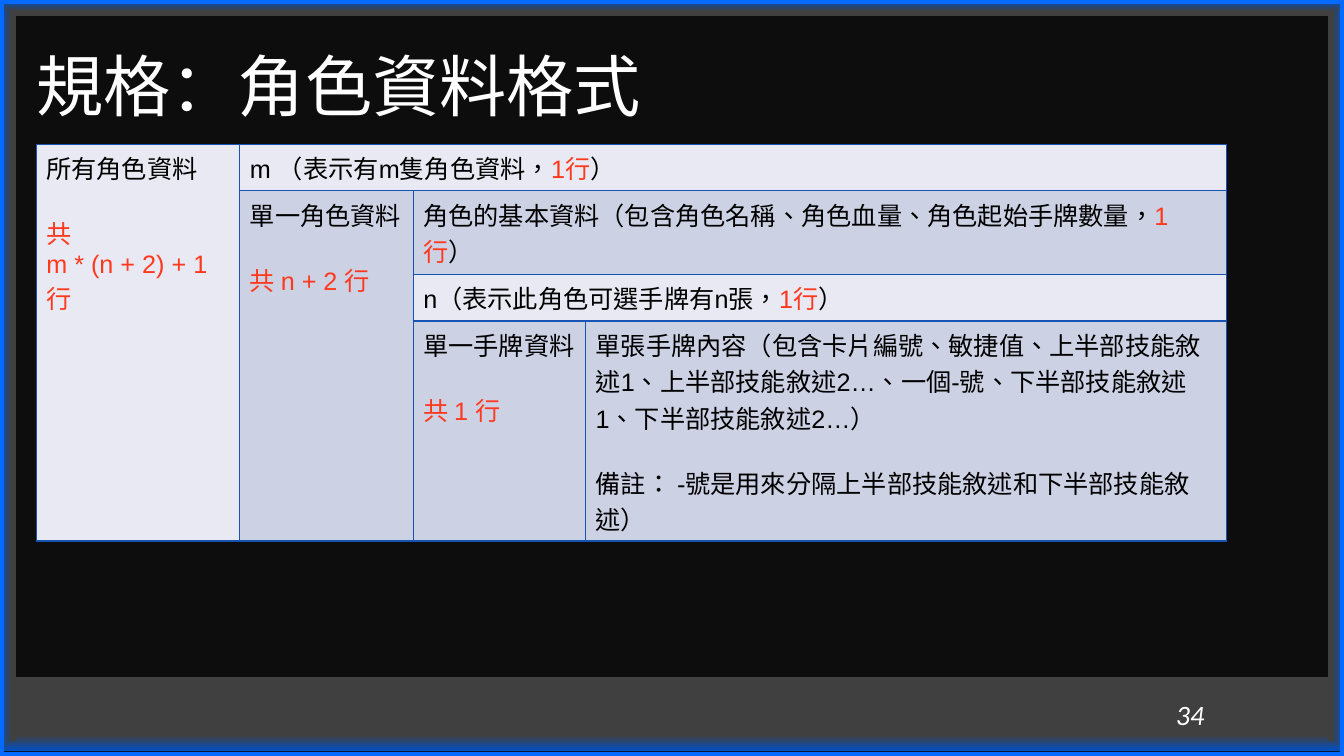
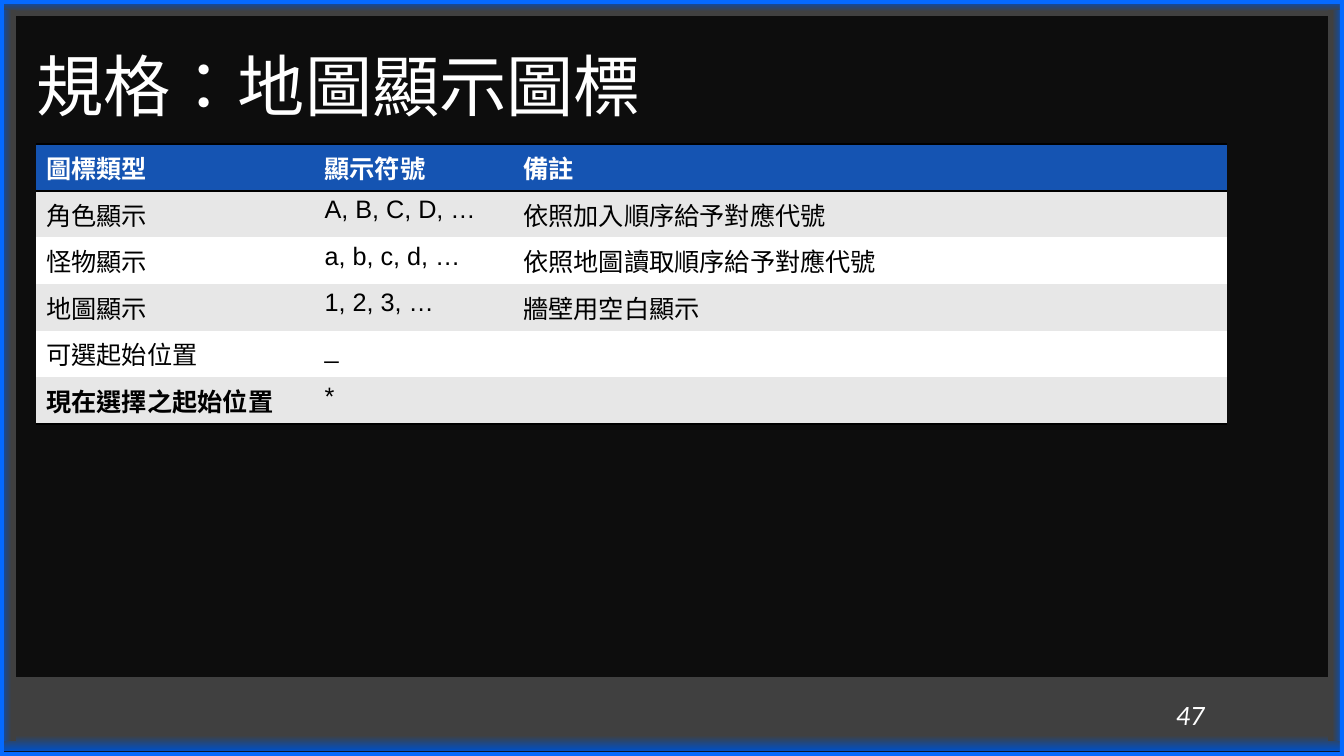
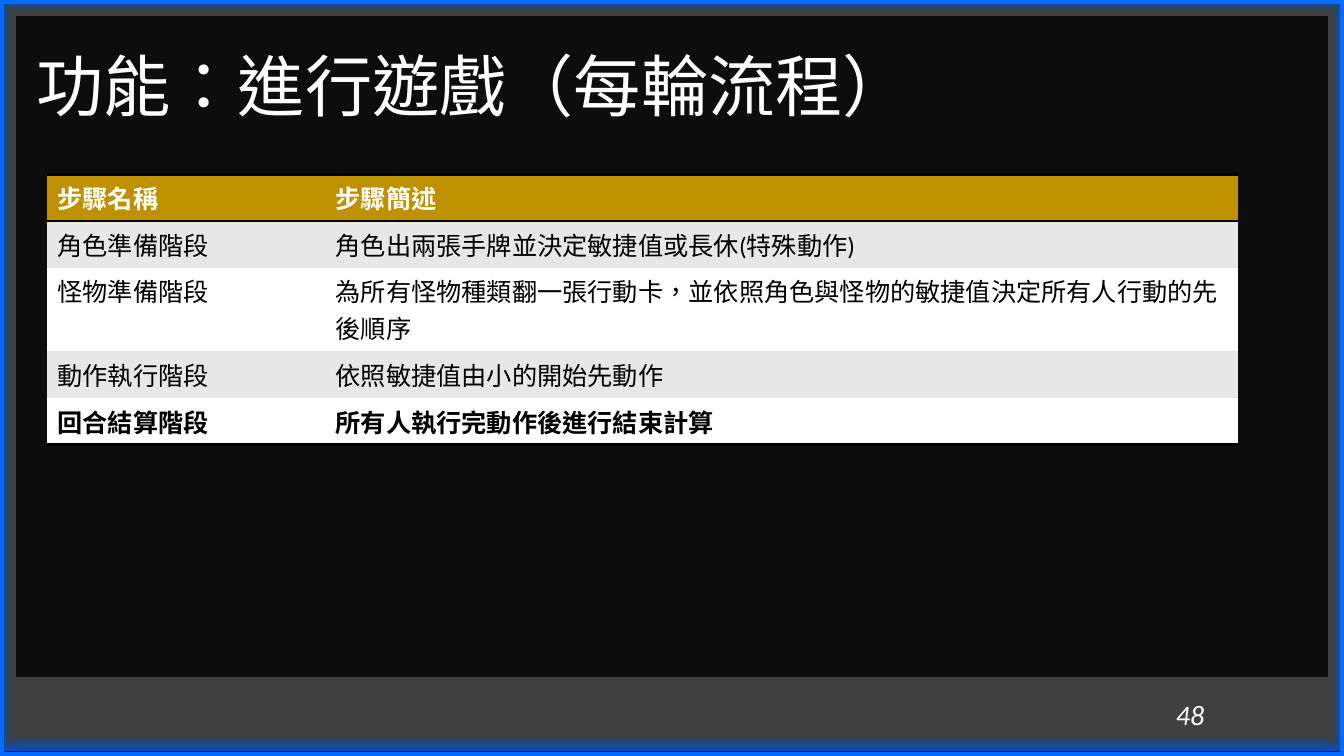
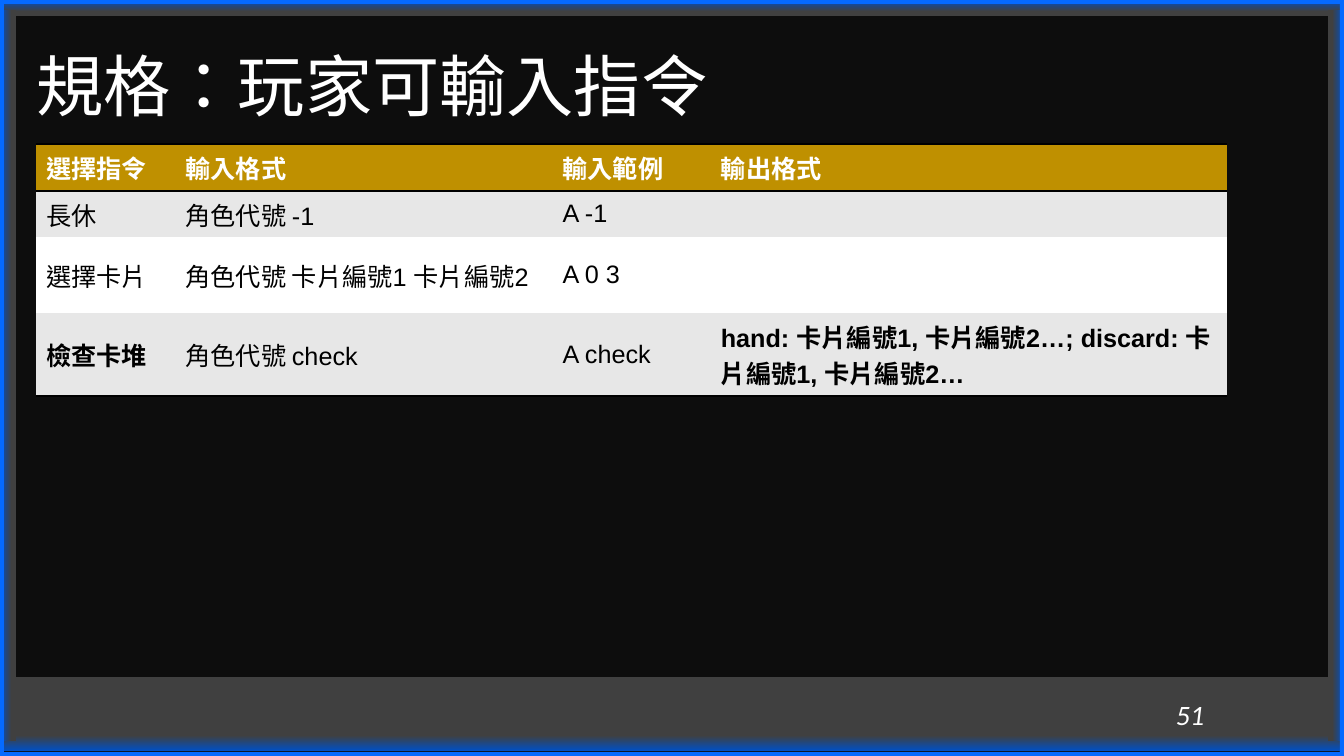
from lxml.etree import SubElement
from pptx import Presentation
from pptx.dml.color import RGBColor
from pptx.enum.lang import MSO_LANGUAGE_ID
from pptx.enum.shapes import MSO_SHAPE
from pptx.enum.text import MSO_ANCHOR, PP_ALIGN
from pptx.oxml.ns import qn
from pptx.util import Inches, Pt

COLORS = {
    "backdrop": "0D0D0D", "glow": "004FC3", "band": "404040", "frame": "056AFF",
    "white": "FFFFFF", "black": "000000", "red": "FF391E", "blue": "1554B2",
    "gold": "BF9000", "gray": "E7E7E7", "pale": "E8E9F2", "lilac": "CCD1E4",
}
CJK_FONT = "Noto Sans CJK SC"
PLAIN_TABLE = "{2D5ABB26-0587-4C30-8999-92F81FD0307C}"
TAIWAN = MSO_LANGUAGE_ID.TRADITIONAL_CHINESE
MAINLAND = MSO_LANGUAGE_ID.SIMPLIFIED_CHINESE
LINE = 6.17
LEFT, TOP = 2.7, 19.07


def rgb(name):
    """Return the named colour."""
    return RGBColor.from_string(COLORS[name])


class Deck:
    """Holds the style and the current slide; lengths are percent of the slide."""

    def __init__(self):
        self.show = Presentation()
        self.show.slide_width, self.show.slide_height = Inches(13.33), Inches(7.5)

    def across(self, percent):
        """Turn percent of the slide width into a length."""
        return round(self.show.slide_width * percent / 100)

    def down(self, percent):
        """Turn percent of the slide height into a length."""
        return round(self.show.slide_height * percent / 100)

    def area(self, left, top, width, height):
        """Turn percents into a position and size."""
        return self.across(left), self.down(top), self.across(width), self.down(height)

    def start(self, heading, number, language=TAIWAN):
        """Add a slide with its bands, frame, number and heading."""
        self.slide = self.show.slides.add_slide(self.show.slide_layouts[6])
        self.slide.background.fill.solid()
        self.slide.background.fill.fore_color.rgb = rgb("backdrop")
        footer = self.band((0, 89.6, 100, 9.73), 270, 0.21)
        self.band((0, 0, 100, 2.13), 90)
        self.band((0, 1.33, 1.2, 96.67), 0)
        self.band((98.8, 1.33, 1.2, 96.67), 180)
        self.frame()
        self.number(footer, number)
        self.heading(heading, language)

    def band(self, place, angle, reach=0.72):
        """Draw an edge band that glows towards the outside."""
        band = self.slide.shapes.add_shape(MSO_SHAPE.RECTANGLE, *self.area(*place))
        band.shadow.inherit = False
        band.line.fill.background()
        band.fill.gradient()
        band.fill.gradient_angle = -angle % 360
        for stop, position, color in zip(band.fill.gradient_stops, (0, reach), ("glow", "band")):
            stop.position = position
            stop.color.rgb = rgb(color)
        return band

    def frame(self):
        """Draw the thin frame around the slide."""
        right, bottom, edge = self.across(100), self.down(100), Inches(0.04)
        outline = self.slide.shapes.build_freeform(0, 0)
        outline.add_line_segments([(right, 0), (right, bottom), (0, bottom)])
        outline.move_to(edge, edge)
        outline.add_line_segments(
            [(edge, bottom - edge), (right - edge, bottom - edge), (right - edge, edge)])
        frame = outline.convert_to_shape()
        frame.shadow.inherit = False
        frame.line.fill.background()
        frame.fill.solid()
        frame.fill.fore_color.rgb = rgb("frame")

    def number(self, footer, number):
        """Put the slide number in the footer band."""
        words = footer.text_frame
        words.margin_left = self.across(87.5)
        words.vertical_anchor = MSO_ANCHOR.MIDDLE
        words.paragraphs[0].alignment = PP_ALIGN.LEFT
        self.wording(words.paragraphs[0], str(number), 20, "white", "Calibri").italic = True

    def heading(self, heading, language):
        """Add the slide heading."""
        words = self.slide.shapes.add_textbox(*self.area(LEFT, 4.67, 93, 14.4)).text_frame
        words.word_wrap = True
        words.vertical_anchor = MSO_ANCHOR.MIDDLE
        words.margin_left = words.margin_right = words.margin_top = words.margin_bottom = 0
        words.paragraphs[0].line_spacing = 0.9
        self.wording(words.paragraphs[0], heading, 48, "white", CJK_FONT, language=language)

    def wording(self, paragraph, text, size, color, font, bold=False, language=TAIWAN):
        """Add a formatted run and return its font."""
        run = paragraph.add_run()
        run.text = text
        style = run.font
        style.size, style.bold, style.name = Pt(size), bold, font
        style.color.rgb = rgb(color)
        style.language_id = language
        SubElement(run._r.get_or_add_rPr(), qn("a:ea"), typeface=CJK_FONT)
        return style

    def table(self, columns, rows, left=LEFT, top=TOP):
        """Add a table without any style of its own."""
        place = self.area(left, top, sum(columns), sum(rows))
        table = self.slide.shapes.add_table(len(rows), len(columns), *place).table
        table.first_row = table.horz_banding = False
        for style in table._tbl.iter(qn("a:tableStyleId")):
            style.text = PLAIN_TABLE
        for column, width in zip(table.columns, columns):
            column.width = self.across(width)
        for row, height in zip(table.rows, rows):
            row.height = self.down(height)
        return table

    def paint(self, cell, fill, sides="", color="black", width=2):
        """Fill a cell and rule the given sides."""
        properties = cell._tc.get_or_add_tcPr()
        for side in sides:
            line = SubElement(properties, qn(f"a:ln{side}"), w=str(Pt(width)))
            SubElement(SubElement(line, qn("a:solidFill")), qn("a:srgbClr"), val=COLORS[color])
        cell.fill.solid()
        cell.fill.fore_color.rgb = rgb(fill)

    def banded_table(self, columns, rows, lines, header, bold, font="Arial",
                     anchor=MSO_ANCHOR.TOP, **place):
        """Add a table with a coloured header; bold lists the last row's bold columns."""
        table = self.table(columns, rows, **place)
        last = len(lines) - 1
        for r, line in enumerate(lines):
            fill = header if r == 0 else ("white", "gray")[r % 2]
            sides = "TB" if r == 0 else "B" if r == last else ""
            for c, text in enumerate(line):
                cell = table.cell(r, c)
                cell.vertical_anchor = anchor
                self.paint(cell, fill, sides)
                strong = r == 0 or (r == last and c in bold)
                self.wording(cell.text_frame.paragraphs[0], text, 18,
                             "black" if r else "white", font, strong)

    def nested_table(self, columns, rows, blocks):
        """Add a table of merged blocks; text between bars is red."""
        table = self.table(columns, rows)
        for (top, left, bottom, right), fill, gap_at, lines in blocks:
            origin = table.cell(top, left)
            for r in range(top, bottom + 1):
                for c in range(left, right + 1):
                    self.paint(table.cell(r, c), fill, "LRTB", "blue", 1)
            if (top, left) != (bottom, right):
                origin.merge(table.cell(bottom, right))
            for index, line in enumerate(lines):
                words = origin.text_frame
                paragraph = words.add_paragraph() if index else words.paragraphs[0]
                if index and index == gap_at:
                    paragraph.space_before = Pt(20.5)
                for part, text in enumerate(line.split("|")):
                    if text:
                        self.wording(paragraph, text, 18, ("black", "red")[part % 2], "Arial")


def main():
    """Build the four slides."""
    deck = Deck()

    deck.start("規格：角色資料格式", 34, MAINLAND)
    deck.nested_table((15.15, 12.9, 12.83, 47.7), (LINE, 11.07, LINE, 29.1), [
        ((0, 0, 3, 0), "pale", 1, ["所有角色資料", "|共", "|m * (n + 2) + 1", "|行"]),
        ((0, 1, 0, 3), "pale", 0, ["m （表示有m隻角色資料，|1行|）"]),
        ((1, 1, 3, 1), "lilac", 1, ["單一角色資料", "|共 n + 2 行"]),
        ((1, 2, 1, 3), "lilac", 0,
         ["角色的基本資料（包含角色名稱、角色血量、角色起始手牌數量，|1行|）"]),
        ((2, 2, 2, 3), "pale", 0, ["n（表示此角色可選手牌有n張，|1行|）"]),
        ((3, 2, 3, 2), "lilac", 1, ["單一手牌資料", "|共 1 行"]),
        ((3, 3, 3, 3), "lilac", 1, [
            "單張手牌內容（包含卡片編號、敏捷值、上半部技能敘述1、上半部技能敘述2…、"
            "一個-號、下半部技能敘述1、下半部技能敘述2…）",
            "備註： -號是用來分隔上半部技能敘述和下半部技能敘述）"]),
    ])

    deck.start("規格：地圖顯示圖標", 47)
    deck.banded_table((20.7, 14.78, 53.12), (LINE,) * 6, [
        ("圖標類型", "顯示符號", "備註"),
        ("角色顯示", "A, B, C, D, …", "依照加入順序給予對應代號"),
        ("怪物顯示", "a, b, c, d, …", "依照地圖讀取順序給予對應代號"),
        ("地圖顯示", "1, 2, 3, …", "牆壁用空白顯示"),
        ("可選起始位置", "_", ""),
        ("現在選擇之起始位置", "*", ""),
    ], "blue", bold=(0,))

    deck.start("功能：進行遊戲（每輪流程）", 48)
    deck.banded_table((20.7, 67.9), (LINE, LINE, 11.07, LINE, LINE), [
        ("步驟名稱", "步驟簡述"),
        ("角色準備階段", "角色出兩張手牌並決定敏捷值或長休(特殊動作)"),
        ("怪物準備階段", "為所有怪物種類翻一張行動卡，並依照角色與怪物的敏捷值決定所有人行動的先後順序"),
        ("動作執行階段", "依照敏捷值由小的開始先動作"),
        ("回合結算階段", "所有人執行完動作後進行結束計算"),
    ], "gold", bold=(0, 1), font="Calibri", left=3.53, top=23.07)

    deck.start("規格：玩家可輸入指令", 51)
    deck.banded_table((10.35, 28.06, 11.78, 38.41), (LINE, LINE, 10, 11), [
        ("選擇指令", "輸入格式", "輸入範例", "輸出格式"),
        ("長休", "角色代號 -1", "A -1", ""),
        ("選擇卡片", "角色代號 卡片編號1 卡片編號2", "A 0 3", ""),
        ("檢查卡堆", "角色代號 check", "A check",
         "hand: 卡片編號1, 卡片編號2…; discard: 卡片編號1, 卡片編號2…"),
    ], "gold", bold=(0, 3), anchor=MSO_ANCHOR.MIDDLE)

    deck.show.save("out.pptx")


if __name__ == "__main__":
    main()
